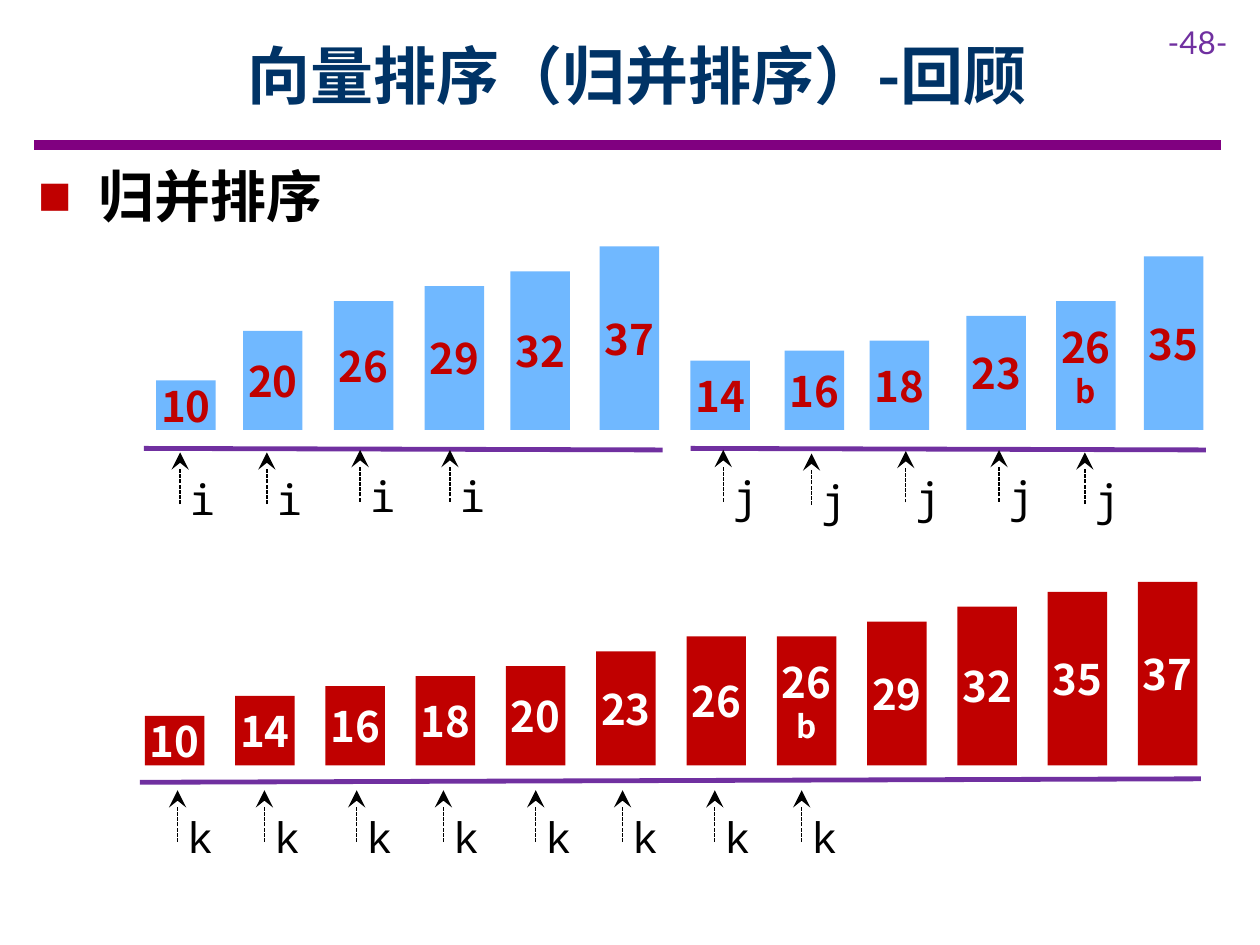
from dataclasses import dataclass

from lxml.etree import SubElement
from pptx import Presentation
from pptx.dml.color import RGBColor
from pptx.enum.dml import MSO_LINE
from pptx.enum.shapes import MSO_CONNECTOR, MSO_SHAPE
from pptx.enum.text import MSO_ANCHOR, MSO_AUTO_SIZE, PP_ALIGN
from pptx.oxml.ns import qn
from pptx.util import Cm, Pt


@dataclass(frozen=True)
class Theme:
    heading_font: str = "Noto Sans CJK SC"
    pointer_font: str = "Noto Sans Mono"
    number_font: str = "Lato"
    navy: str = "003366"
    black: str = "000000"
    white: str = "FFFFFF"
    red: str = "C00000"
    blue: str = "70B8FF"
    violet: str = "7030A0"
    rule: str = "800080"
    title_size: int = 36
    body_size: int = 32
    label_size: int = 24
    small_size: int = 18


class Page:
    BAR_WIDTH = 1.2
    UNIT = 0.1  # bar height for each unit of value, in cm
    ARROW_LENGTH = 1.04

    def __init__(self, deck, theme):
        self.theme = theme
        self.slide = deck.slides.add_slide(deck.slide_layouts[1])

    def span(self, para, text, font, size, color, bold=False):
        span = para.add_run()
        span.text = text
        span.font.size = Pt(size)
        span.font.bold = bold
        span.font.color.rgb = RGBColor.from_string(color)
        span.font.name = font
        SubElement(span.font._element, qn("a:ea"), typeface=font)

    def placeholder(self, index, left, top, width, height, anchor):
        box = self.slide.placeholders[index]
        box.left, box.top, box.width, box.height = map(Cm, (left, top, width, height))
        box.text_frame.auto_size = MSO_AUTO_SIZE.NONE
        box.text_frame.vertical_anchor = anchor
        return box.text_frame.paragraphs[0]

    def title(self, text):
        para = self.placeholder(0, 2.29, 0.23, 21.11, 2.54, MSO_ANCHOR.MIDDLE)
        para.alignment = PP_ALIGN.CENTER
        self.span(para, text, self.theme.heading_font, self.theme.title_size,
                  self.theme.navy, bold=True)

    def bullet(self, text):
        para = self.placeholder(1, 0.51, 3.12, 24, 1.63, MSO_ANCHOR.TOP)
        para.space_before, para.space_after = Pt(0), Pt(6)
        props = para._p.get_or_add_pPr()
        props.set("marL", str(Cm(1.22)))
        props.set("indent", str(-Cm(1.22)))
        color = SubElement(props, qn("a:buClr"))
        SubElement(color, qn("a:srgbClr"), val=self.theme.red)
        SubElement(props, qn("a:buFont"), typeface="Arial")
        SubElement(props, qn("a:buChar"), char="■")
        self.span(para, text, self.theme.heading_font, self.theme.body_size,
                  self.theme.black, bold=True)

    def label(self, text, left, top, width, height, font, size, color):
        box = self.slide.shapes.add_textbox(Cm(left), Cm(top), Cm(width), Cm(height))
        box.text_frame.word_wrap = False
        self.span(box.text_frame.paragraphs[0], text, font, size, color)

    def line(self, start, end, color, width):
        line = self.slide.shapes.add_connector(
            MSO_CONNECTOR.STRAIGHT, *map(Cm, (*start, *end)))
        line.line.color.rgb = RGBColor.from_string(color)
        line.line.width = Pt(width)
        SubElement(line._element.spPr, qn("a:effectLst"))
        return line

    def bar(self, left, bottom, label, fill, color):
        """Draw one bar; its height follows the number in the first label line."""
        lines = label.split()
        height = int(lines[0]) * self.UNIT
        bar = self.slide.shapes.add_shape(
            MSO_SHAPE.RECTANGLE,
            *map(Cm, (left, bottom - height, self.BAR_WIDTH, height)))
        bar.shadow.inherit = False
        bar.fill.solid()
        bar.fill.fore_color.rgb = RGBColor.from_string(fill)
        bar.line.fill.background()
        frame = bar.text_frame
        frame.margin_left = frame.margin_right = 0
        frame.margin_top = frame.margin_bottom = Cm(0.25)
        frame.vertical_anchor = MSO_ANCHOR.MIDDLE
        for index, text in enumerate(lines):
            para = frame.add_paragraph() if index else frame.paragraphs[0]
            para.alignment = PP_ALIGN.CENTER
            size = self.theme.small_size if index else self.theme.label_size
            self.span(para, text, self.theme.heading_font, size, color, bold=True)

    def pointer(self, name, x, tip):
        """Draw a dashed arrow up to the tip, with the index name beside it."""
        self.label(name, x - 0.05, tip + 0.3, 0.99, 1.27, self.theme.pointer_font,
                   self.theme.label_size, self.theme.black)
        arrow = self.line((x, tip + self.ARROW_LENGTH), (x, tip), self.theme.black, 0.75)
        arrow.line.dash_style = MSO_LINE.SQUARE_DOT
        SubElement(arrow.line._get_or_add_ln(), qn("a:tailEnd"),
                   type="stealth", w="lg", len="lg")


# Input bars: label and left edge
LEFT_RUN = [("10", 3.15), ("20", 4.9), ("26", 6.73), ("29", 8.56), ("32", 10.29),
            ("37", 12.09)]
RIGHT_RUN = [("14", 13.92), ("16", 15.82), ("18", 17.53), ("23", 19.48),
             ("26 b", 21.29), ("35", 23.06)]
MERGED = ["10", "14", "16", "18", "20", "23", "26", "26 b", "29", "32", "35", "37"]

# Index pointers: x and tip height
POINTERS = {
    "i": [(3.63, 9.12), (5.38, 9.12), (7.26, 9.07), (9.07, 9.07)],
    "j": [(14.58, 9.07), (16.36, 9.14), (18.26, 9.09), (20.14, 9.07), (21.87, 9.12)],
    "k": [(3.58 + 3.61 * (n // 2) + 1.75 * (n % 2), 15.93) for n in range(8)],
}


def main():
    deck = Presentation()
    deck.slide_width, deck.slide_height = Cm(25.4), Cm(19.05)
    theme = Theme()
    page = Page(deck, theme)

    # Heading, rule and page number
    page.line((0.69, 2.92), (24.61, 2.92), theme.rule, 6)
    page.label("-48-", 23.29, 0.33, 2.11, 1.02, theme.number_font,
               theme.small_size, theme.violet)
    page.title("向量排序（归并排序）-回顾")
    page.bullet("归并排序")

    # Base lines under the three sequences
    for start, end in [((2.82, 15.77), (24.21, 15.7)),
                       ((2.9, 9.04), (13.36, 9.07)),
                       ((13.92, 9.04), (24.31, 9.07))]:
        page.line(start, end, theme.violet, 2.75)

    # Sorted halves above, merged result below
    for label, left in LEFT_RUN + RIGHT_RUN:
        page.bar(left, 8.67, label, theme.blue, theme.red)
    for index, label in enumerate(MERGED):
        page.bar(2.92 + 1.82 * index, 15.43, label, theme.red, theme.white)

    # Successive positions of the indexes
    for name, places in POINTERS.items():
        for x, tip in places:
            page.pointer(name, x, tip)

    deck.save("out.pptx")


if __name__ == "__main__":
    main()
